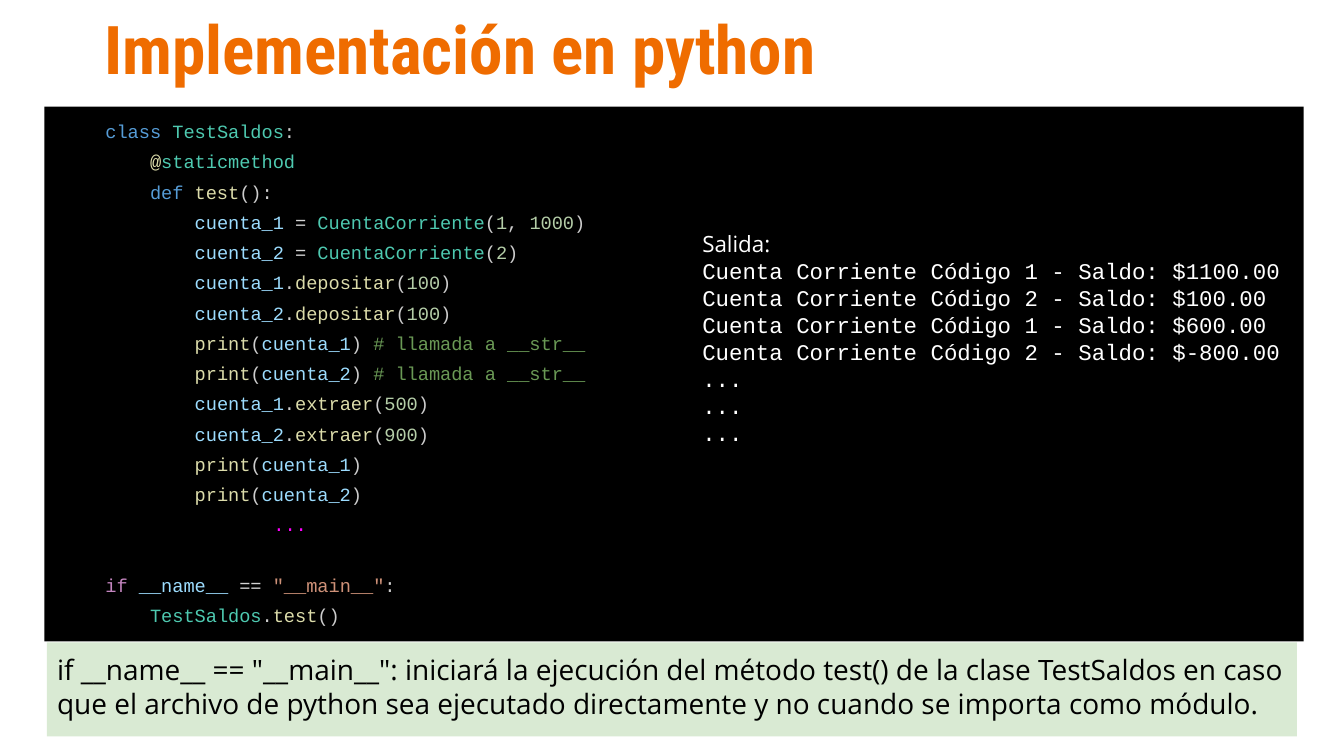
import pptx
import pptx.util
import pptx.dml.color
import pptx.enum.shapes
import pptx.enum.text

RGBColor = pptx.dml.color.RGBColor
ORANGE = RGBColor(0xEF, 0x6C, 0x00)
BLACK = RGBColor(0x00, 0x00, 0x00)
WHITE = RGBColor(0xFF, 0xFF, 0xFF)
PALE_GREEN = RGBColor(0xD9, 0xEA, 0xD3)
KEYWORD = RGBColor(0x56, 0x9C, 0xD6)
CONTROL = RGBColor(0xC5, 0x86, 0xC0)
CLASS = RGBColor(0x4E, 0xC9, 0xB0)
FUNCTION = RGBColor(0xDC, 0xDC, 0xAA)
VARIABLE = RGBColor(0x9C, 0xDC, 0xFE)
NUMBER = RGBColor(0xB5, 0xCE, 0xA8)
STRING = RGBColor(0xCE, 0x91, 0x78)
COMMENT = RGBColor(0x6A, 0x99, 0x55)
OPERATOR = RGBColor(0xD4, 0xD4, 0xD4)
PLAIN = RGBColor(0xCC, 0xCC, 0xCC)
MAGENTA = RGBColor(0xFF, 0x00, 0xFF)

WIDTH = pptx.util.Inches(10)
HEIGHT = pptx.util.Emu(WIDTH * 9 // 16)
CELL = WIDTH / 100
CODE_FONT, TEXT_FONT, TITLE_FONT = "Courier New", "Open Sans", "Roboto Condensed"
CODE_SIZE, LINE_SPACING = 10, 1.35
CODE_MARGIN, DOTS_MARGIN = 3.8, 16.3


def cells(count):
    """Return the length of a number of grid cells."""
    return pptx.util.Emu(round(count * CELL))


def set_frame(frame, side, top, anchor=pptx.enum.text.MSO_ANCHOR.TOP):
    """Set wrapping, anchor and insets of a text frame."""
    frame.word_wrap = True
    frame.auto_size = pptx.enum.text.MSO_AUTO_SIZE.NONE
    frame.vertical_anchor = anchor
    frame.margin_left = frame.margin_right = cells(side)
    frame.margin_top = frame.margin_bottom = cells(top)


def add_run(paragraph, text, font, size, colour, bold=False):
    """Add one formatted run to a paragraph."""
    run = paragraph.add_run()
    run.text = text
    run.font.name = font
    run.font.size = pptx.util.Pt(size)
    run.font.color.rgb = colour
    run.font.bold = bold


def add_line(frame, index):
    """Return the left-aligned paragraph for the line at an index."""
    paragraph = frame.add_paragraph() if index else frame.paragraphs[0]
    paragraph.alignment = pptx.enum.text.PP_ALIGN.LEFT
    return paragraph


def add_panel(slide, box, fill, inset):
    """Add a plain filled rectangle and return its text frame."""
    panel = slide.shapes.add_shape(
        pptx.enum.shapes.MSO_SHAPE.RECTANGLE, *map(cells, box))
    panel.shadow.inherit = False
    panel.fill.solid()
    panel.fill.fore_color.rgb = fill
    panel.line.fill.background()
    set_frame(panel.text_frame, 0.75, inset)
    return panel.text_frame


def creation(account, *numbers):
    """Return the tokens that create an account."""
    tokens = [("        ", PLAIN), (account + " ", VARIABLE),
              ("= ", OPERATOR), ("CuentaCorriente", CLASS), ("(", PLAIN)]
    for index, number in enumerate(numbers):
        tokens += [(", ", PLAIN)] * (index > 0) + [(number, NUMBER)]
    return tokens + [(")", PLAIN)]


def movement(account, method, amount):
    """Return the tokens that call a method on an account."""
    return [("        ", PLAIN), (account, VARIABLE), (".", PLAIN),
            (method, FUNCTION), ("(", PLAIN), (amount, NUMBER), (")", PLAIN)]


def printing(account, comment=""):
    """Return the tokens that print an account."""
    tokens = [("        ", PLAIN), ("print", FUNCTION), ("(", PLAIN),
              (account, VARIABLE)]
    if comment:
        return tokens + [(") ", PLAIN), (comment, COMMENT)]
    return tokens + [(")", PLAIN)]


def class_lines():
    """Return the token lines of the test class."""
    accounts = ("cuenta_1", "cuenta_2")
    return [
        [("class ", KEYWORD), ("TestSaldos", CLASS), (":", PLAIN)],
        [("    ", PLAIN), ("@", FUNCTION), ("staticmethod", CLASS)],
        [("    ", PLAIN), ("def ", KEYWORD), ("test", FUNCTION), ("():", PLAIN)],
        creation("cuenta_1", "1", "1000"),
        creation("cuenta_2", "2"),
        *(movement(account, "depositar", "100") for account in accounts),
        *(printing(account, "# llamada a __str__") for account in accounts),
        movement("cuenta_1", "extraer", "500"),
        movement("cuenta_2", "extraer", "900"),
        *(printing(account) for account in accounts),
        [("...", MAGENTA)],
    ]


def entry_lines():
    """Return the token lines of the program entry."""
    return [
        [("if ", CONTROL), ("__name__ ", VARIABLE), ("== ", OPERATOR),
         ('"__main__"', STRING), (":", PLAIN)],
        [("    ", PLAIN), ("TestSaldos", CLASS), (".", PLAIN),
         ("test", FUNCTION), ("()", PLAIN)],
    ]


def place_title(slide, box):
    """Place the slide title."""
    title = slide.shapes.title
    title.left, title.top, title.width, title.height = map(cells, box)
    set_frame(title.text_frame, 0.75, 0.4, pptx.enum.text.MSO_ANCHOR.MIDDLE)
    heading = add_line(title.text_frame, 0)
    heading.line_spacing = 0.9
    add_run(heading, "Implementación en python", TITLE_FONT, 36, ORANGE, True)


def place_code(slide, box):
    """Place the coloured source code."""
    frame = add_panel(slide, box, BLACK, 0.4)
    test_class = class_lines()
    for index, tokens in enumerate(test_class + entry_lines()):
        line = add_line(frame, index)
        line.line_spacing = LINE_SPACING
        dots = tokens[0][0] == "..."
        line._p.get_or_add_pPr().set(
            "marL", str(cells(DOTS_MARGIN if dots else CODE_MARGIN)))
        if index == len(test_class):
            line.space_before = pptx.util.Pt(16.2)
        for text, colour in tokens:
            add_run(line, text, CODE_FONT, CODE_SIZE, colour)


def place_note(slide, box):
    """Place the explanation below the code."""
    frame = add_panel(slide, box, PALE_GREEN, 0.75)
    add_run(add_line(frame, 0),
            'if __name__ == "__main__": iniciará la ejecución del método test() '
            "de la clase TestSaldos en caso que el archivo de python sea "
            "ejecutado directamente y no cuando se importa como módulo.",
            TEXT_FONT, 15, BLACK)


def place_output(slide, box):
    """Place the program output beside the code."""
    frame = add_panel(slide, box, BLACK, 0.75)
    frame.margin_top = cells(2.75)
    add_run(add_line(frame, 0), "Salida:", TEXT_FONT, 12, WHITE)
    balances = [(1, "1100.00"), (2, "100.00"), (1, "600.00"), (2, "-800.00")]
    printed = [f"Cuenta Corriente Código {code} - Saldo: ${balance}"
               for code, balance in balances]
    for index, text in enumerate(printed + ["..."] * 3, start=1):
        add_run(add_line(frame, index), text, CODE_FONT, 12, WHITE)


def main():
    """Build and save the presentation."""
    deck = pptx.Presentation()
    deck.slide_width, deck.slide_height = WIDTH, HEIGHT
    slide = deck.slides.add_slide(deck.slide_layouts.get_by_name("Title Only"))
    place_title(slide, (7, 0, 86.2, 7.9))
    place_code(slide, (3.3, 7.93, 93.7, 39.8))
    place_note(slide, (3.5, 47.8, 93, 7))
    place_output(slide, (51.5, 14.4, 45.1, 31))
    deck.save("out.pptx")


if __name__ == "__main__":
    main()
